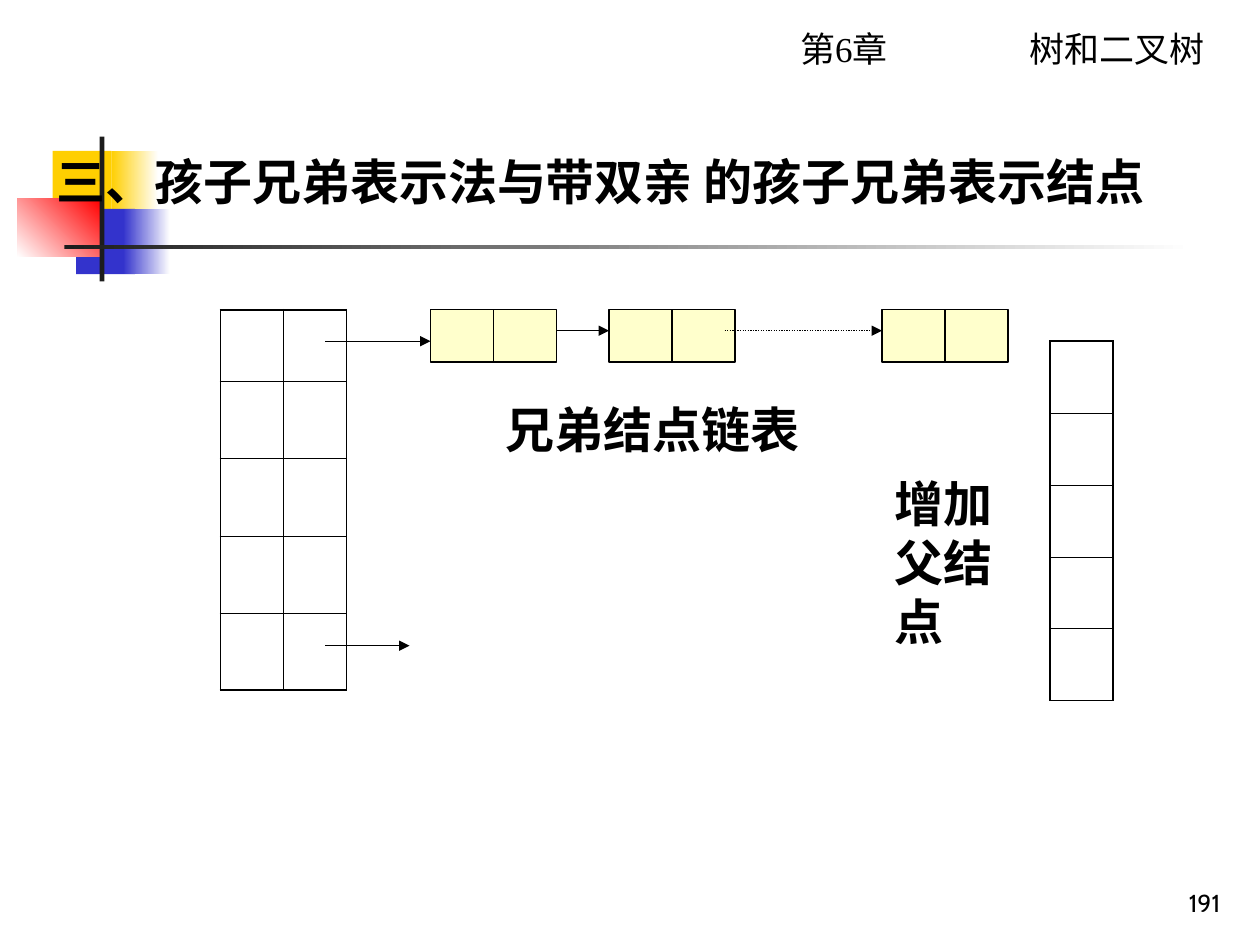
import pptx
import pptx.util
import pptx.dml.color
import pptx.enum.dml
import pptx.enum.shapes
import pptx.enum.text
import pptx.oxml
import pptx.oxml.ns

COLS, ROWS = 120, 90          # slide grid
W, H = pptx.util.Inches(10), pptx.util.Inches(7.5)
SERIF = "Times New Roman"
RECT = pptx.enum.shapes.MSO_SHAPE.RECTANGLE
STRAIGHT = pptx.enum.shapes.MSO_CONNECTOR.STRAIGHT
ALIGN = pptx.enum.text.PP_ALIGN
ANCHOR = pptx.enum.text.MSO_ANCHOR


def color(value):
    return pptx.dml.color.RGBColor.from_string(value)


def x(col):
    return round(W * col / COLS)


def y(row):
    return round(H * row / ROWS)


def element(xml):
    return pptx.oxml.parse_xml(xml.replace(">", f" {pptx.oxml.ns.nsdecls('a')}>", 1))


def rect(s, box, fill, angle=None, line=None):
    """Rectangle; with an angle the fill fades to white."""
    left, top, width, height = box
    sp = s.shapes.add_shape(RECT, x(left), y(top), x(width), y(height))
    sp.shadow.inherit = False
    if angle is None:
        sp.fill.solid()
        sp.fill.fore_color.rgb = color(fill)
    else:
        sp.fill.gradient()
        sp.fill.gradient_angle = angle
        for stop, shade in zip(sp.fill.gradient_stops, (fill, "FFFFFF")):
            stop.color.rgb = color(shade)
    if line:
        sp.line.color.rgb = color(line)
        sp.line.width = pptx.util.Pt(0.75)
    else:
        sp.line.fill.background()


def line(s, x1, y1, x2, y2, arrow=False, dotted=False):
    cn = s.shapes.add_connector(STRAIGHT, x(x1), y(y1), x(x2), y(y2))
    cn.line.color.rgb = color("000000")
    cn.line.width = pptx.util.Pt(0.75)
    if dotted:
        cn.line.dash_style = pptx.enum.dml.MSO_LINE.ROUND_DOT
    if arrow:
        cn.line._get_or_add_ln().append(element('<a:tailEnd type="triangle"></a:tailEnd>'))
    cn._element.spPr.append(element("<a:effectLst></a:effectLst>"))


def write(sp, box, text, size, bold=False, font=SERIF, align=ALIGN.LEFT, anchor=ANCHOR.TOP):
    left, top, width, height = box
    sp.left, sp.top, sp.width, sp.height = x(left), y(top), x(width), y(height)
    tf = sp.text_frame
    tf.word_wrap = True
    tf.auto_size = pptx.enum.text.MSO_AUTO_SIZE.NONE
    tf.vertical_anchor = anchor
    tf.text = text
    p = tf.paragraphs[0]
    p.alignment = align
    for r in p.runs:
        r.font.name, r.font.size, r.font.bold = font, pptx.util.Pt(size), bold
        r.font.color.rgb = color("000000")
    return tf


def label(s, box, text, size, **style):
    return write(s.shapes.add_textbox(0, 0, 0, 0), box, text, size, **style)


def ornament(s, box):
    """Coloured squares with a crossing bar and a fading rule."""
    left, top, width, height = box
    parts = [
        (0.03, 0.10, 0.05, 0.45, "FFCF01", None),
        (0.08, 0.10, 0.04, 0.45, "FFCF01", 0),
        (0.05, 0.50, 0.05, 0.45, "3333CC", None),
        (0.09, 0.50, 0.04, 0.45, "3333CC", 0),
        (0.00, 0.43, 0.07, 0.40, "FF0000", 225),
        (0.07, 0.00, 0.004, 1.00, "1C1C1C", None),
        (0.04, 0.75, 0.96, 0.03, "1C1C1C", 0),
    ]
    for dx, dy, dw, dh, fill, angle in parts:
        rect(s, (left + dx * width, top + dy * height, dw * width, dh * height), fill, angle)


def header(s, box):
    """Chapter number and name, set apart by a tab stop."""
    tf = label(s, box, "第6章\t树和二叉树", 20)
    tf.margin_left = x(4.2)
    stop = pptx.util.Inches(1.82)
    tabs = element(f'<a:tabLst><a:tab pos="{stop}" algn="l"/></a:tabLst>')
    tf.paragraphs[0]._p.get_or_add_pPr().insert(0, tabs)


def grid_table(s, box, row_heights, columns):
    """Empty table with thick outer and thin inner borders."""
    left, top, width = box
    n = len(row_heights)
    table = s.shapes.add_table(n, columns, x(left), y(top), x(width), y(sum(row_heights))).table
    table.first_row = table.horz_banding = False
    for row, height in zip(table.rows, row_heights):
        row.height = y(height)
    for i in range(n):
        for j in range(columns):
            cell = table.cell(i, j)
            cell.fill.background()
            outer = {"L": j == 0, "R": j == columns - 1, "T": i == 0, "B": i == n - 1}
            for k, (side, thick) in enumerate(outer.items()):
                width_pt = pptx.util.Pt(1.08 if thick else 0.45)
                border = element(
                    f'<a:ln{side} w="{width_pt}"><a:solidFill><a:srgbClr val="000000"/>'
                    f"</a:solidFill></a:ln{side}>")
                cell._tc.get_or_add_tcPr().insert(k, border)


def node(s, box):
    """List node split into two fields."""
    left, top, width, height = box
    rect(s, box, "FFFFCC", line="000000")
    middle = left + width / 2
    line(s, middle, top, middle, top + height)


def sibling_list(s, box):
    """Child table, its outgoing arrows and the linked nodes."""
    left, top, width, height = box
    first = 6.85
    grid_table(s, (left, top, 12), [first] + [(height - first) / 4] * 4, 2)
    line(s, left + 10, top + 3, left + 20, top + 3, arrow=True)
    line(s, left + 10, top + 32, left + 18, top + 32, arrow=True)
    for offset in (20, 37, width - 12):
        node(s, (left + offset, top, 12, 5))
    line(s, left + 32, top + 2, left + 37, top + 2, arrow=True)
    line(s, left + 48, top + 2, left + width - 12, top + 2, arrow=True, dotted=True)
    label(s, (left + 26, top + 8, 48, 6.8), "兄弟结点链表", 28, bold=True)


def parent_column(s, box):
    """Added parent column with its caption on the left."""
    left, top, width, height = box
    grid_table(s, (left + width - 6, top, 6), [height / 5] * 5, 1)
    label(s, (left, top + 12, 15, 18), "增加父结点", 28, bold=True)


def main():
    prs = pptx.Presentation()
    prs.slide_width, prs.slide_height = W, H
    s = prs.slides.add_slide(prs.slide_layouts[5])
    title = s.shapes.title

    ornament(s, (1.65, 13, 112, 13.8))
    header(s, (72, 2, 48, 5.3))

    # Title stands in front of the ornament
    s.shapes._spTree.append(title._element)
    write(title, (4.2, 13.8, 110.5, 6.8),
          "三、孩子兄弟表示法与带双亲 的孩子兄弟表示结点", 28, bold=True)

    sibling_list(s, (21, 29.5, 75, 36.25))
    parent_column(s, (84, 32.5, 22, 34.25))

    # Page number
    label(s, (92.4, 82, 25, 6), "191", 14, font="Cabin", align=ALIGN.RIGHT, anchor=ANCHOR.BOTTOM)
    prs.save("out.pptx")


if __name__ == "__main__":
    main()
